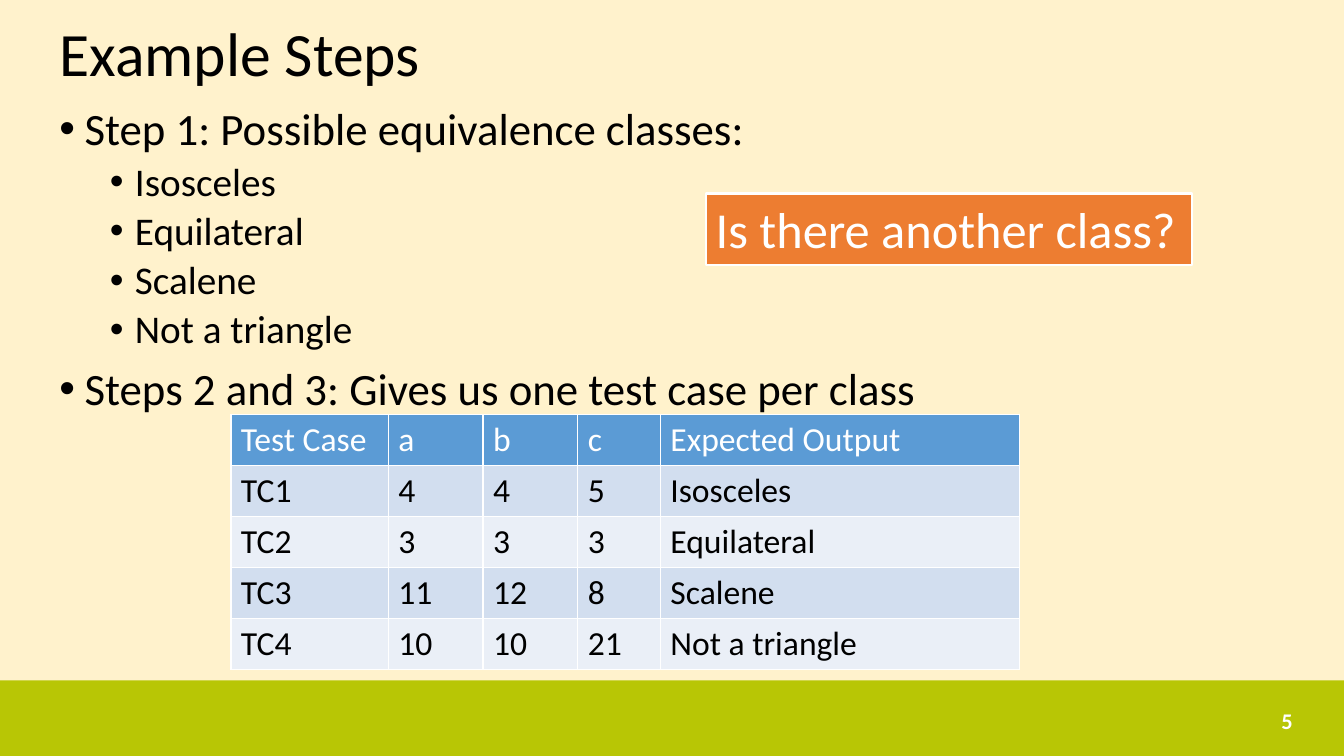
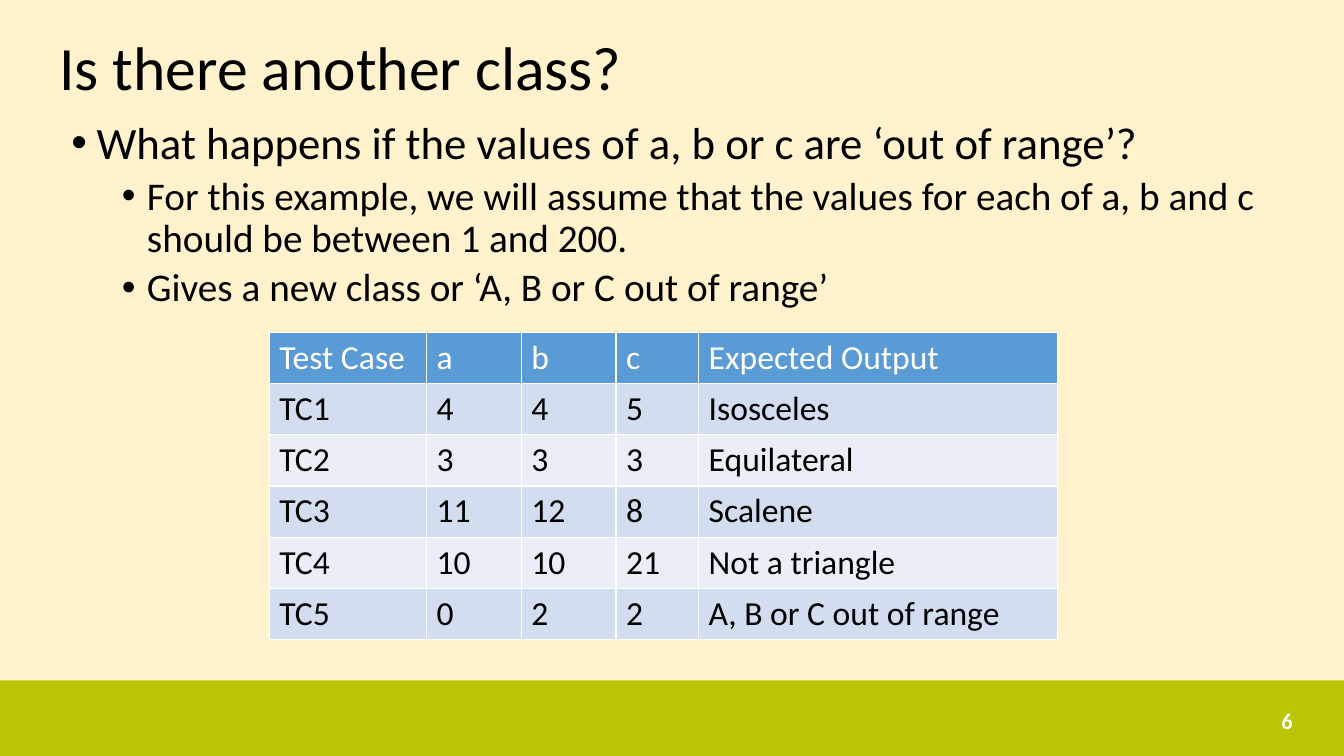
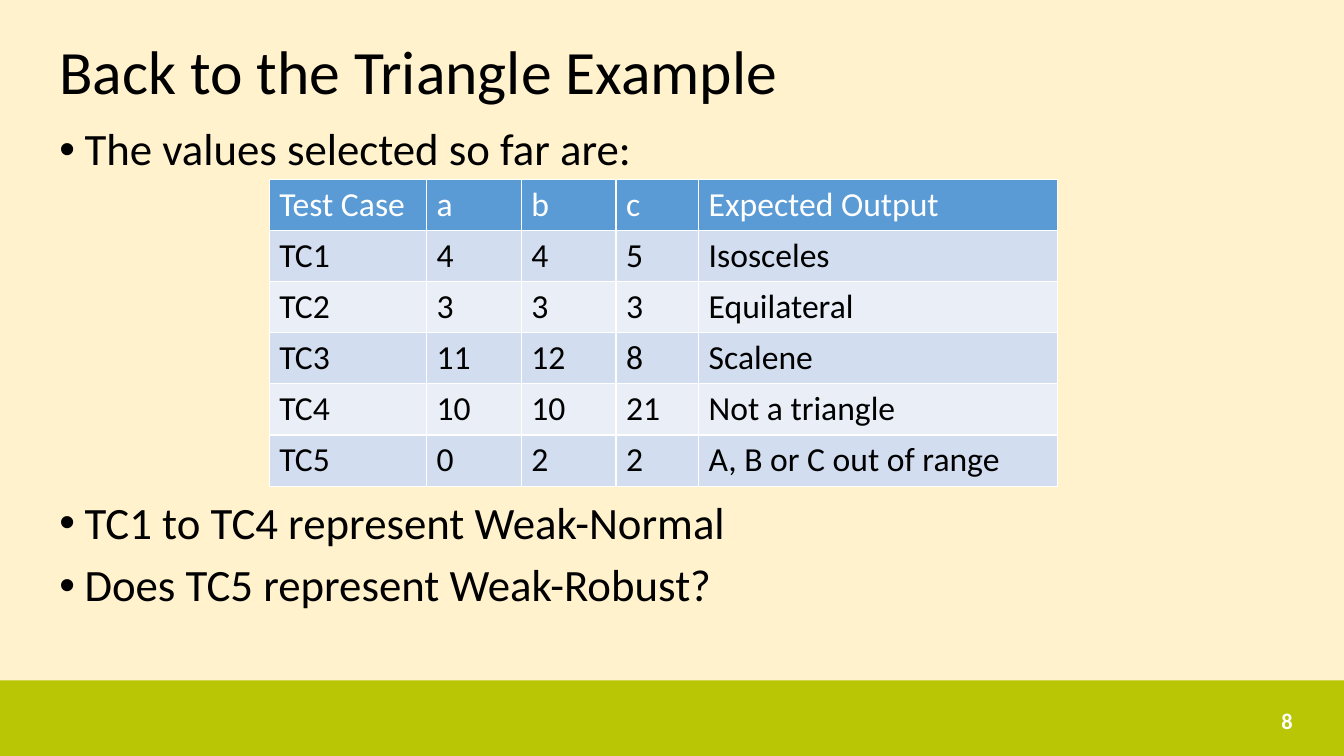
from dataclasses import dataclass

from lxml import etree
from pptx import Presentation
from pptx.dml.color import RGBColor
from pptx.enum.shapes import MSO_SHAPE
from pptx.enum.text import MSO_ANCHOR, MSO_AUTO_SIZE, PP_ALIGN
from pptx.oxml.ns import qn
from pptx.util import Inches, Pt

RECT = MSO_SHAPE.RECTANGLE
LEFT, RIGHT = PP_ALIGN.LEFT, PP_ALIGN.RIGHT
TOP, MIDDLE = MSO_ANCHOR.TOP, MSO_ANCHOR.MIDDLE
FIXED, GROW = MSO_AUTO_SIZE.NONE, MSO_AUTO_SIZE.SHAPE_TO_FIT_TEXT


@dataclass(frozen=True)
class Theme:
    font: str = "Calibri"
    paper: str = "FFF2CC"
    band: str = "B8C605"
    ink: str = "000000"
    white: str = "FFFFFF"
    head: str = "5B9BD5"
    rows: tuple = ("D2DEEF", "EAEFF7")
    note: str = "ED7D31"
    title: int = 44
    call: int = 36
    levels: tuple = (32, 28)
    cell: int = 24
    page: int = 16
    leading: float = 0.9


THEME = Theme()
COLS = (1.56, 0.94, 0.94, 0.82, 3.56)
ROW = 0.5
HEADS = ("Test Case", "a", "b", "c", "Expected Output")
CASES = (
    (4, 4, 5, "Isosceles"),
    (3, 3, 3, "Equilateral"),
    (11, 12, 8, "Scalene"),
    (10, 10, 21, "Not a triangle"),
    (0, 2, 2, "A, B or C out of range"),
)


def color(code):
    return RGBColor.from_string(code)


def place(box):
    return [Inches(n) for n in box]


def paint(shape, code):
    shape.fill.solid()
    shape.fill.fore_color.rgb = color(code)


def write(para, text, size, ink=THEME.ink, bold=False):
    run = para.add_run()
    run.text = text
    font = run.font
    font.name, font.size, font.bold = THEME.font, Pt(size), bold
    font.color.rgb = color(ink)


def add_box(slide, box, anchor=TOP):
    frame = slide.shapes.add_textbox(*place(box)).text_frame
    frame.word_wrap = True
    frame.auto_size = FIXED
    frame.vertical_anchor = anchor
    return frame


# Background, green band and page number of every slide
def add_base(slide, number):
    paint(slide.background, THEME.paper)
    band = slide.shapes.add_shape(RECT, *place((0, 6.75, 13.33, 0.75)))
    band.shadow.inherit = False
    paint(band, THEME.band)
    band.line.fill.background()
    para = add_box(slide, (9.41, 6.95, 3.51, 0.4), MIDDLE).paragraphs[0]
    para.alignment = RIGHT
    write(para, number, THEME.page, THEME.white, True)


def add_title(slide, text, box):
    title = slide.shapes.title
    title.left, title.top, title.width, title.height = place(box)
    frame = title.text_frame
    frame.auto_size = FIXED
    frame.vertical_anchor = MIDDLE
    para = frame.paragraphs[0]
    para.alignment = LEFT
    para.line_spacing = THEME.leading
    write(para, text, THEME.title)


# Bulleted text: each item is level, text, and any extra space above in points
def add_list(slide, box, items):
    frame = add_box(slide, box)
    for i, (level, text, *extra) in enumerate(items):
        para = frame.add_paragraph() if i else frame.paragraphs[0]
        para.level = level
        para.line_spacing = THEME.leading
        para.space_before = Pt((10, 5)[level] + sum(extra))
        props = para._p.get_or_add_pPr()
        props.set("marL", str(Inches(0.25 + 0.5 * level)))
        props.set("indent", str(Inches(-0.25)))
        face = etree.SubElement(props, qn("a:buFont"))
        face.set("typeface", "Arial")
        etree.SubElement(props, qn("a:buChar")).set("char", "•")
        write(para, text, THEME.levels[level])


def add_edges(cell):
    props = cell._tc.get_or_add_tcPr()
    for side in "LRTB":
        line = etree.SubElement(props, qn("a:ln" + side))
        line.set("w", str(Pt(1)))
        fill = etree.SubElement(line, qn("a:solidFill"))
        etree.SubElement(fill, qn("a:srgbClr")).set("val", THEME.white)


# Table of the first few test cases
def add_cases(slide, left, top, count):
    rows = [HEADS]
    rows += [(f"TC{i}", *case) for i, case in enumerate(CASES[:count], 1)]
    box = (left, top, sum(COLS), ROW * len(rows))
    table = slide.shapes.add_table(len(rows), len(COLS), *place(box)).table
    for col, width in zip(table.columns, COLS):
        col.width = Inches(width)
    for r, row in enumerate(rows):
        back = THEME.rows[(r - 1) % 2] if r else THEME.head
        ink = THEME.ink if r else THEME.white
        for c, value in enumerate(row):
            cell = table.cell(r, c)
            add_edges(cell)
            paint(cell, back)
            write(cell.text_frame.paragraphs[0], str(value), THEME.cell, ink)


def add_call(slide, text, box):
    call = slide.shapes.add_shape(RECT, *place(box))
    call.shadow.inherit = False
    paint(call, THEME.note)
    call.line.color.rgb = color(THEME.white)
    call.line.width = Pt(1.5)
    frame = call.text_frame
    frame.word_wrap = False
    frame.auto_size = GROW
    frame.vertical_anchor = TOP
    para = frame.paragraphs[0]
    para.alignment = LEFT
    write(para, text, THEME.call, THEME.white)


def add_steps(slide):
    add_base(slide, "5")
    add_title(slide, "Example Steps", (0.49, 0.11, 12.43, 0.91))
    kinds = [(1, case[-1]) for case in CASES[:4]]
    add_list(slide, (0.49, 1.01, 10.68, 5.73), [
        (0, "Step 1: Possible equivalence classes:"),
        *kinds,
        (0, "Steps 2 and 3: Gives us one test case per class"),
    ])
    add_cases(slide, 2.29, 4.11, 4)
    add_call(slide, "Is there another class?", (7, 1.92, 4.82, 0.71))


def add_range(slide):
    add_base(slide, "6")
    add_title(slide, "Is there another class?", (0.49, 0.26, 12.43, 0.89))
    add_list(slide, (0.61, 1.15, 11.94, 2.76), [
        (0, "What happens if the values of a, b or c are ‘out of range’?"),
        (1, "For this example, we will assume that the values for each of "
            "a, b and c should be between 1 and 200."),
        (1, "Gives a new class or ‘A, B or C out of range’"),
    ])
    add_cases(slide, 2.67, 3.3, 5)


def add_recap(slide):
    add_base(slide, "8")
    add_title(slide, "Back to the Triangle Example", (0.49, 0.27, 12.43, 0.94))
    add_list(slide, (0.49, 1.21, 12.43, 5.41), [
        (0, "The values selected so far are:"),
        (0, "TC1 to TC4 represent Weak-Normal", 222.5),
        (0, "Does TC5 represent Weak-Robust?"),
    ])
    add_cases(slide, 2.67, 1.78, 5)


def main():
    deck = Presentation()
    deck.slide_width, deck.slide_height = Inches(13.33), Inches(7.5)
    layout = deck.slide_layouts[5]
    for build in (add_steps, add_range, add_recap):
        build(deck.slides.add_slide(layout))
    deck.save("out.pptx")


if __name__ == "__main__":
    main()
